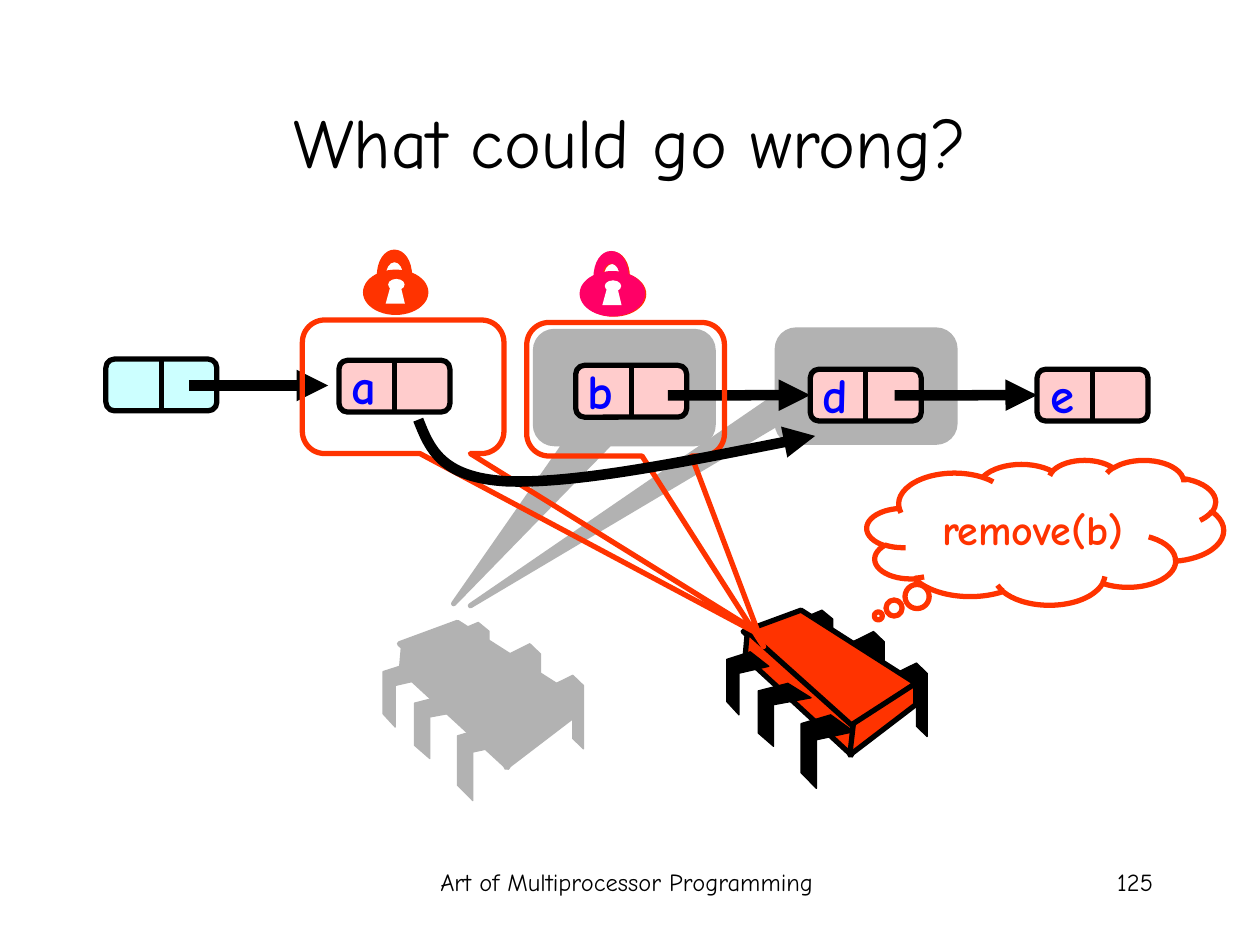
from lxml.etree import SubElement
from pptx import Presentation
from pptx.dml.color import RGBColor
from pptx.enum.shapes import MSO_CONNECTOR as Connector, MSO_SHAPE as Preset
from pptx.enum.text import MSO_ANCHOR as Anchor, PP_ALIGN as Align
from pptx.oxml.ns import qn
from pptx.util import Pt

COLORS = {
    "black": "000000", "white": "FFFFFF", "gray": "B2B2B2", "orange": "FF3300",
    "pink": "FF0066", "blue": "0000FF", "node": "FFCCCC", "head": "CCFFFF",
}
FONT = "Comic Neue"
NODE_WIDTH, NODE_HEIGHT = 63.4, 29.6

BACK_PIN = [(0, 0.14), (0.66, 0), (1, 0.14), (1, 1), (0.66, 0.86), (0.66, 0.29), (0, 0.43)]
FRONT_PIN = [(0.56, 0), (1, 0.23), (0.29, 0.34), (0.29, 1), (0, 0.79), (0, 0.12)]
BACK_PIN_FRAMES = [(96.5, 30.2, 18, 42), (72, 12.2, 18, 42), (42.5, 0, 18, 36)]
FRONT_PIN_FRAMES = [(42.5, 59.8, 30.2, 42), (18, 41.8, 30.2, 36), (0, 23.8, 24, 36)]
CHIP_FACES = [
    [(42.5, 0), (108, 41.8), (71.3, 67), (9.4, 12.2)],
    [(11.8, 12.2), (72, 66.2), (71.3, 82.8), (10.5, 26.8)],
    [(108, 41.8), (108, 54), (70.3, 82.8), (72.4, 64.8)],
]
KEY_SLOT = [(13, 31), (15.8, 20.9), (21.6, 20.9), (24, 31)]
SHACKLE = [
    (13, 15.1), (13, 10.8), (15.1, 7.2), (18, 7.2), (20.9, 7.2), (23, 10.8), (23, 15.1),
    (28.1, 15.1), (28.1, 6.5), (23.8, 0), (18, 0), (12.2, 0), (7.9, 6.5), (7.9, 15.1),
]
BYPASS = [(239, 239.8), (245.5, 256.3), (252, 272.9), (289.4, 275),
          (327.6, 276.5), (396.7, 262.8), (465.8, 249.1)]


def color(name):
    return RGBColor.from_string(COLORS[name])


def paint(shape, fill=None, line=None, weight=0.75):
    shape.shadow.inherit = False
    for part, name in ((shape.fill, fill), (shape.line.fill, line)):
        if name:
            part.solid()
            part.fore_color.rgb = color(name)
        else:
            part.background()
    if line:
        shape.line.width = Pt(weight)
    return shape


def write(shape, text, size, ink="black", bold=False, align=Align.CENTER,
          anchor=Anchor.TOP, wrap=True):
    frame = shape.text_frame
    for name, value in {"word_wrap": wrap, "vertical_anchor": anchor}.items():
        setattr(frame, name, value)
    para = frame.paragraphs[0]
    para.alignment = align
    span = para.add_run()
    span.text = text
    for name, value in {"name": FONT, "size": Pt(size), "bold": bold}.items():
        setattr(span.font, name, value)
    span.font.color.rgb = color(ink)


def add_label(page, frame, text, size, **style):
    write(page.shapes.add_textbox(*map(Pt, frame)), text, size, **style)


def add_preset(shapes, preset, frame, adjustments=(), **look):
    shape = shapes.add_shape(preset, *map(Pt, frame))
    for index, value in enumerate(adjustments):
        shape.adjustments[index] = value
    return paint(shape, **look)


def add_outline(shapes, points, origin=(0, 0), close=True, curves=(), **look):
    left, top = origin
    start, *rest = [(Pt(left + x), Pt(top + y)) for x, y in points]
    builder = shapes.build_freeform(*start)
    builder.add_line_segments(rest, close=close)
    shape = paint(builder.convert_to_shape(), **look)
    segments = list(shape._element.iter(qn("a:lnTo")))
    for first in curves:
        controls = segments[first:first + 3]
        bezier = controls[0].getparent().makeelement(qn("a:cubicBezTo"))
        controls[0].addprevious(bezier)
        for segment in controls:
            bezier.append(segment[0])
            segment.getparent().remove(segment)
    return shape


def add_arrowhead(shape):
    SubElement(shape.line._get_or_add_ln(), qn("a:tailEnd"), type="triangle")


def add_line(page, start, end, weight):
    line = page.shapes.add_connector(Connector.STRAIGHT, *map(Pt, start + end))
    line.line.color.rgb = color("black")
    line.line.width = Pt(weight)
    SubElement(line._element.spPr, qn("a:effectLst"))
    return line


def add_node(page, left, top, text=None, fill="node"):
    node = add_preset(page.shapes, Preset.ROUNDED_RECTANGLE,
                      (left, top, NODE_WIDTH, NODE_HEIGHT), [0.167],
                      fill=fill, line="black", weight=3)
    middle = left + NODE_WIDTH / 2
    divider = add_line(page, (middle, top), (middle, top + NODE_HEIGHT), 3)
    divider.begin_connect(node, 0)
    divider.end_connect(node, 2)
    if text:
        add_label(page, (left - 2, top - 6.3, 30.6, 41), text, 28, ink="blue",
                  bold=True, align=Align.RIGHT, wrap=False)
    return node


def add_arrow(page, left, top, target=None):
    arrow = add_line(page, (left, top), (left + 79.5, top), 6)
    if target:
        arrow.end_connect(target, 1)
    add_arrowhead(arrow)


def add_callout(page, frame, tip, **look):
    add_preset(page.shapes, Preset.ROUNDED_RECTANGULAR_CALLOUT, frame,
               [*tip, 0.167], weight=3, **look)


def add_chip(page, origin, pin, body):
    shapes = page.shapes.add_group_shape().shapes

    def add_pins(outline, frames):
        for left, top, width, height in frames:
            points = [(left + x * width, top + y * height) for x, y in outline]
            add_outline(shapes, points, origin, fill=pin, line=pin)

    add_pins(BACK_PIN, BACK_PIN_FRAMES)
    for face in CHIP_FACES:
        add_outline(shapes, face, origin, fill=body, line=pin, weight=3)
    add_pins(FRONT_PIN, FRONT_PIN_FRAMES)


def add_lock(page, left, top, fill):
    shapes = page.shapes.add_group_shape().shapes
    add_preset(shapes, Preset.OVAL, (left, top + 11.5, 37.4, 25.9), fill=fill)
    add_preset(shapes, Preset.OVAL, (left + 14.4, top + 16.8, 9.4, 6.5), fill="white")
    add_outline(shapes, KEY_SLOT, (left, top), fill="white")
    add_outline(shapes, SHACKLE, (left, top), curves=(0, 3, 7, 10), fill=fill)


def main():
    deck = Presentation()
    deck.slide_width, deck.slide_height = Pt(720), Pt(540)
    page = deck.slides.add_slide(deck.slide_layouts[6])

    add_chip(page, (218.9, 355.7), "gray", "gray")
    add_callout(page, (306, 189.4, 101.5, 64.1), (-0.961, 1.927), fill="gray", line="gray")
    add_callout(page, (444.2, 188.6, 101.5, 64.1), (-2.228, 1.958), fill="gray", line="gray")

    add_label(page, (223.2, 491.8, 270, 36), "Art of Multiprocessor Programming", 14)
    add_label(page, (516.2, 491.8, 149.8, 36), "125", 14, align=Align.RIGHT)
    add_label(page, (54, 35.3, 612, 90), "What could go wrong?", 40, anchor=Anchor.MIDDLE)

    add_node(page, 60.5, 205.2, fill="head")
    add_node(page, 193.7, 205.9, "a")
    add_node(page, 329, 208.8, "b")
    node_d = add_node(page, 463, 211, "d")
    node_e = add_node(page, 592.6, 211, "e")
    add_arrow(page, 108, 220.3)
    add_arrow(page, 381.6, 226, node_d)
    add_arrow(page, 511.2, 226, node_e)

    add_lock(page, 207.4, 142.6, "orange")
    add_chip(page, (415.3, 348.7), "black", "orange")
    cloud = add_preset(page.shapes, Preset.CLOUD_CALLOUT, (495.4, 262.8, 203.8, 82.8),
                       [-0.468, 0.577], line="orange", weight=3)
    write(cloud, "remove(b)", 24, ink="orange", bold=True, anchor=Anchor.MIDDLE)
    add_callout(page, (301, 184.3, 113, 76.3), (0.698, 1.927), line="orange")
    add_callout(page, (172.8, 182.9, 115.2, 76.3), (1.856, 1.927), line="orange")
    add_lock(page, 331.9, 143.6, "orange")
    add_lock(page, 331.2, 143.4, "pink")
    bypass = add_outline(page.shapes, BYPASS, close=False, curves=(0, 3),
                         line="black", weight=6)
    add_arrowhead(bypass)

    deck.save("out.pptx")


if __name__ == "__main__":
    main()
